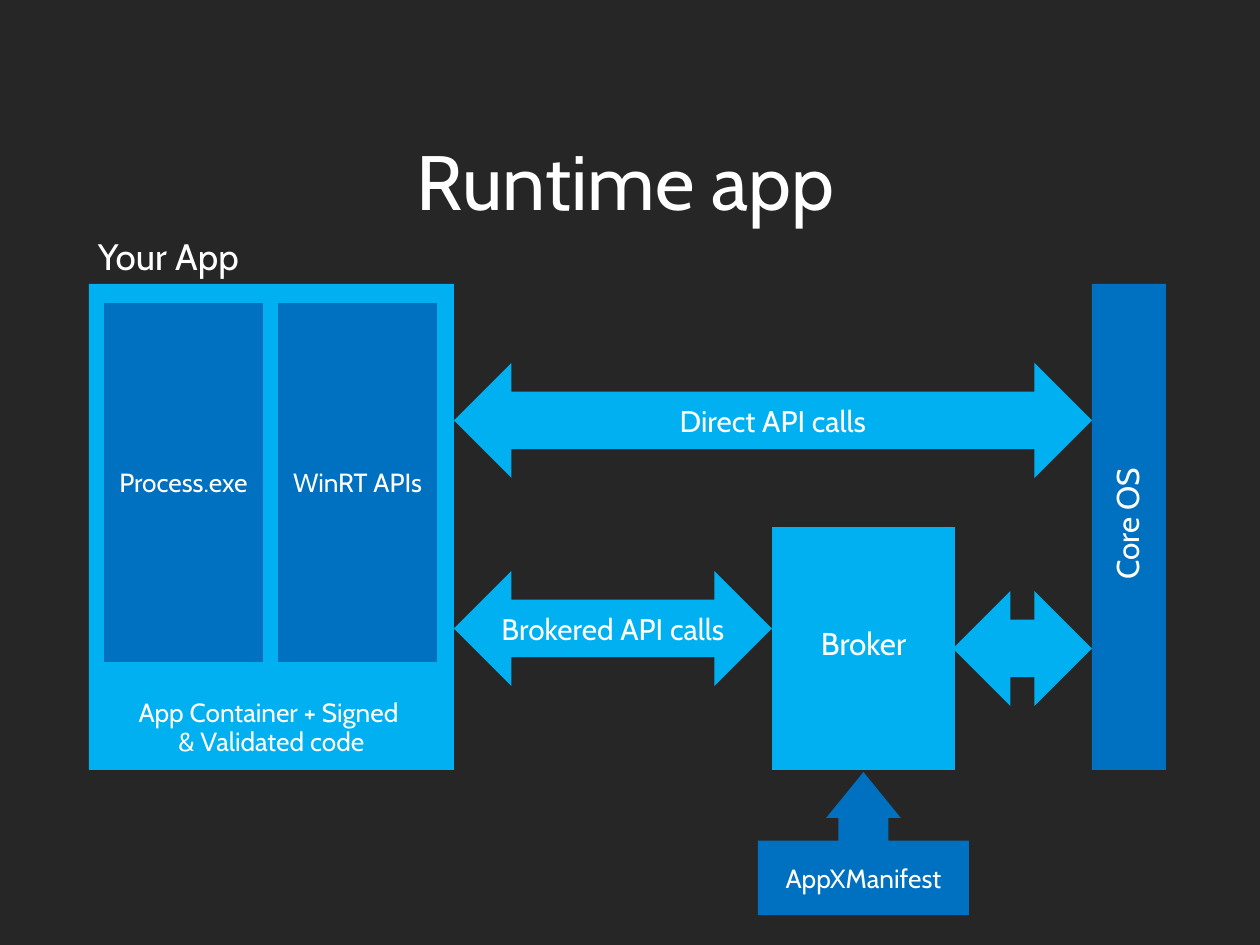
from pptx import Presentation, util as u
from pptx.dml.color import RGBColor
from pptx.enum import shapes, text

INK = {"back": "262626", "light": "00B0F0", "dark": "0070C0", "text": "FFFFFF"}
FONT = "Cabin"
SCALE = 914400 / 126
KIND = shapes.MSO_SHAPE
ANCHOR = text.MSO_ANCHOR
ALIGN = text.PP_ALIGN

FORMS = {
    "title": {"size": 44},
    "label": {"size": 21, "pad": (9, 5, 9, 5), "anchor": ANCHOR.BOTTOM,
              "align": ALIGN.LEFT, "space": 0.9, "wrap": False},
    "call": {"size": 17},
    "block": {"size": 18, "pad": (19, 6, 19, 13), "space": 0.9},
    "tower": {"size": 18, "pad": (19, 6, 19, 13), "space": 0.9, "turn": "vert270"},
    "frame": {"size": 15, "pad": (19, 6, 19, 13), "space": 0.9, "anchor": ANCHOR.BOTTOM},
    "part": {"size": 15},
    "note": {"size": 15, "pad": (9, 5, 9, 5)},
}
BASE = {"pad": (13, 6, 13, 6), "anchor": ANCHOR.MIDDLE, "align": ALIGN.CENTER,
        "space": 1.0, "wrap": True, "turn": None}

LEFT, TOP, BASELINE = 89, 284, 770
APP, CORE = 454, 1092
BROKER, EDGE = 772, 955
HEAD = 115
TALL = BASELINE - TOP

TEXTS = [
    ("Runtime app", "title", (59, 125, 1134, 110)),
    ("Your App", "label", (LEFT, 234, 168, 49)),
]
ITEMS = [
    ("Brokered API calls", "call", KIND.LEFT_RIGHT_ARROW, "light",
     (APP, 571, BROKER - APP, HEAD)),
    ("Direct API calls", "call", KIND.LEFT_RIGHT_ARROW, "light",
     (APP, 363, CORE - APP, HEAD)),
    ("Broker", "block", KIND.RECTANGLE, "light",
     (BROKER, 527, EDGE - BROKER, BASELINE - 527)),
    ("Core OS", "tower", KIND.RECTANGLE, "dark", (CORE, TOP, 74, TALL)),
    ("", "call", KIND.LEFT_RIGHT_ARROW, "light", (953, 591, CORE - 953, HEAD)),
    ("AppXManifest", "note", KIND.UP_ARROW_CALLOUT, "dark", (758, 772, 211, 143)),
    ("App Container + Signed \n& Validated code", "frame", KIND.RECTANGLE, "light",
     (LEFT, TOP, APP - LEFT, TALL)),
]
PARTS = ["Process.exe", "WinRT APIs"]
ITEMS += [
    (name, "part", KIND.FLOWCHART_PROCESS, "dark", (104 + i * 174, 303, 159, 359))
    for i, name in enumerate(PARTS)
]
NOTCH = (0.35, 0.26, 0.32, 0.52)


def px(n):
    return u.Emu(round(n * SCALE))


def color(name):
    return RGBColor.from_string(INK[name])


def write(shape, words, form):
    look = {**BASE, **FORMS[form]}
    frame = shape.text_frame
    frame.word_wrap = look["wrap"]
    frame.vertical_anchor = look["anchor"]
    for side, pad in zip(("left", "top", "right", "bottom"), look["pad"]):
        setattr(frame, "margin_" + side, px(pad))
    if look["turn"]:
        frame._txBody.bodyPr.set("vert", look["turn"])
    line = frame.paragraphs[0]
    line.text = words
    line.alignment = look["align"]
    line.line_spacing = look["space"]
    for run in line.runs:
        for key, value in {"name": FONT, "size": u.Pt(look["size"])}.items():
            setattr(run.font, key, value)
        run.font.color.rgb = color("text")


def main():
    deck = Presentation()
    deck.slide_width, deck.slide_height = px(1260), px(945)
    slide = deck.slides.add_slide(deck.slide_layouts[6])
    slide.background.fill.solid()
    slide.background.fill.fore_color.rgb = color("back")
    for words, form, box in TEXTS:
        write(slide.shapes.add_textbox(*map(px, box)), words, form)
    for words, form, kind, fill, box in ITEMS:
        shape = slide.shapes.add_shape(kind, *map(px, box))
        shape.shadow.inherit = False
        shape.fill.solid()
        shape.fill.fore_color.rgb = color(fill)
        shape.line.fill.background()
        if kind == KIND.UP_ARROW_CALLOUT:
            for i, value in enumerate(NOTCH):
                shape.adjustments[i] = value
        if words:
            write(shape, words, form)
    deck.save("out.pptx")


if __name__ == "__main__":
    main()
